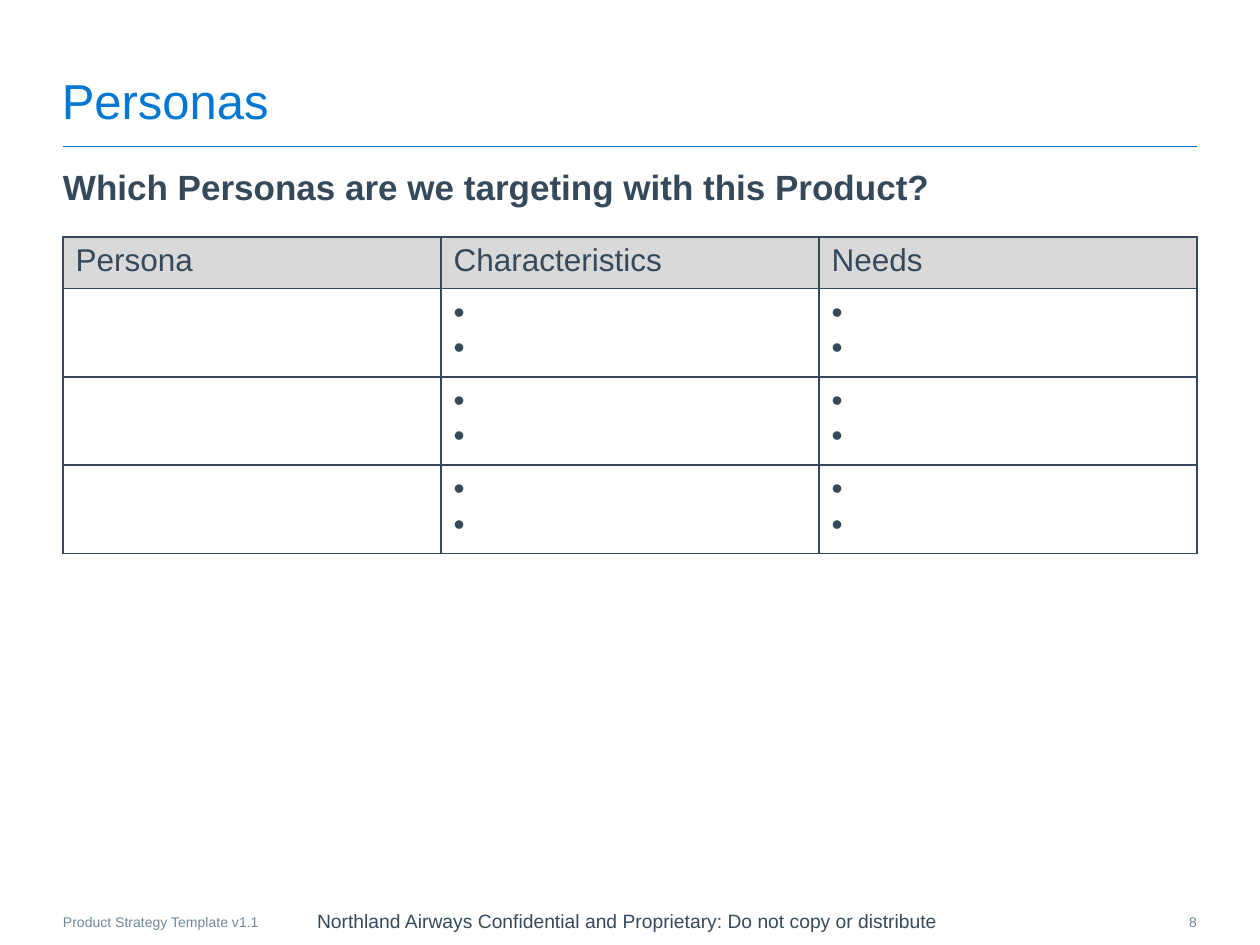
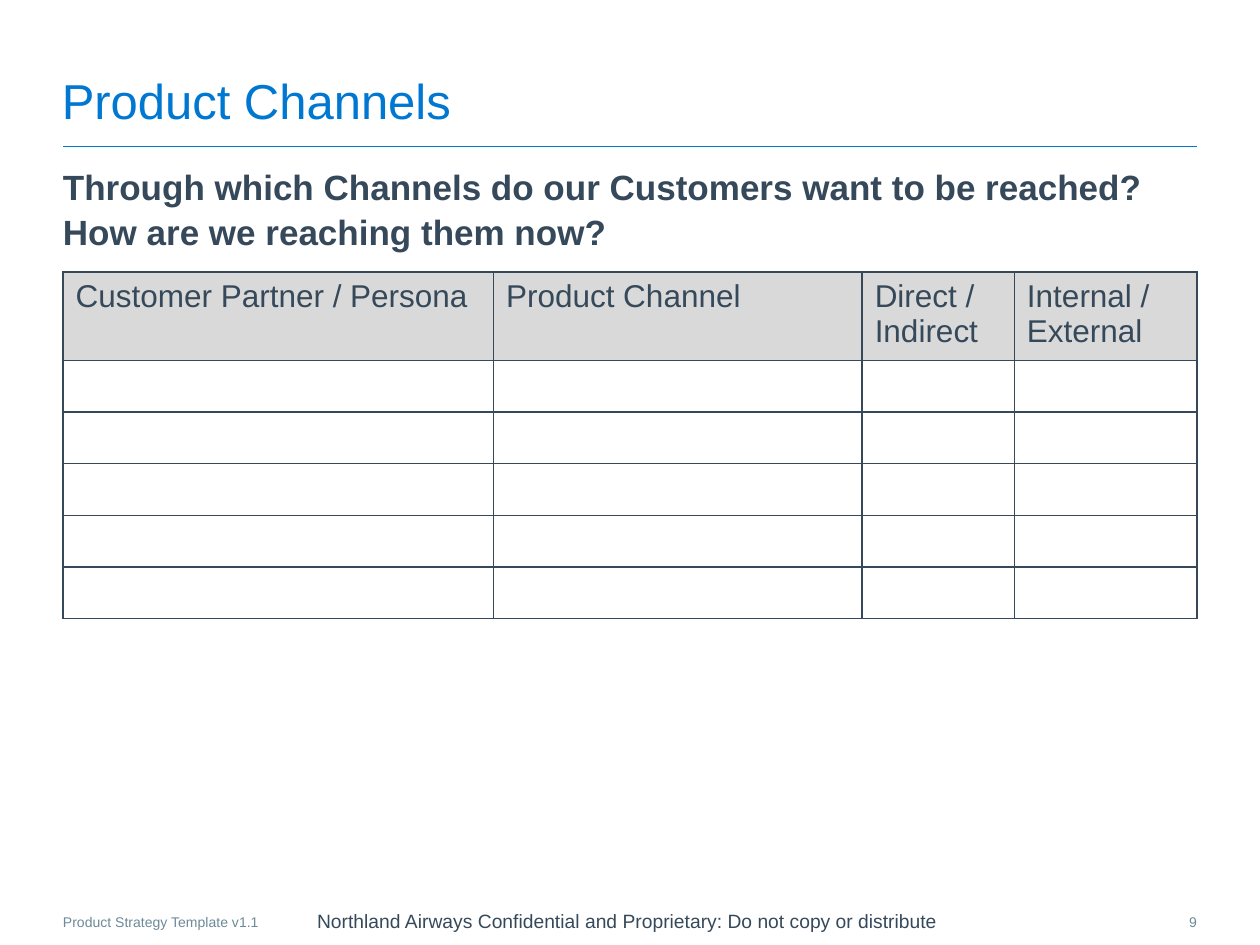
from pptx import Presentation
from pptx.dml.color import RGBColor
from pptx.enum.shapes import MSO_CONNECTOR
from pptx.enum.text import MSO_ANCHOR, PP_ALIGN
from pptx.util import Emu, Inches, Pt
from pptx.oxml.ns import qn
from lxml.etree import SubElement

# Content
FOOTER = "Product Strategy Template v1.1"
NOTICE = "Northland Airways Confidential and Proprietary: Do not copy or distribute"
BULLETS = 2
PAGES = [
    {
        "title": "Personas",
        "number": 8,
        "question": "Which Personas are we targeting with this Product?",
        "question_height": 5.42,
        "headers": ["Persona", "Characteristics", "Needs"],
        "widths": [3, 3, 3],
        "table_top": 1.88,
        "header_lines": 1,
        "body_rows": 3,
        "body_lines": BULLETS,
        "bulleted": {1, 2},
    },
    {
        "title": "Product Channels",
        "number": 9,
        "question": "Through which Channels do our Customers want to be reached? "
                    "How are we reaching them now?",
        "question_height": 5.81,
        "headers": ["Customer Partner / Persona", "Product Channel",
                    "Direct / Indirect", "Internal / External"],
        "widths": [3.42, 2.93, 1.21, 1.45],
        "table_top": 2.16,
        "header_lines": 2,
        "body_rows": 5,
        "body_lines": 1,
        "bulleted": set(),
    },
]

# Shared look
FONT = "Arial"
BLUE, INK, MUTED, GREY = "0078D2", "36495A", "6E8999", "D9D9D9"
WIDTH, HEIGHT, MARGIN = 10, 7.5, 0.5
CONTENT = WIDTH - 2 * MARGIN
ROW_HEIGHTS = {1: 0.41, 2: 0.66}  # by lines of text in the row


def color(value):
    return RGBColor.from_string(value)


def style(para, size, ink, bold=False, align=PP_ALIGN.LEFT):
    para.alignment = align
    para.font.name = FONT
    para.font.size = Pt(size)
    para.font.bold = bold
    para.font.color.rgb = color(ink)


def add_text(page, text, area, size, ink, bold=False, align=PP_ALIGN.LEFT,
             anchor=MSO_ANCHOR.TOP, wrap=True):
    box = page.shapes.add_textbox(*(Inches(length) for length in area))
    frame = box.text_frame
    frame.word_wrap = wrap
    frame.vertical_anchor = anchor
    frame.margin_left = frame.margin_right = 0
    frame.margin_top = frame.margin_bottom = 0
    para = frame.paragraphs[0]
    para.text = text
    style(para, size, ink, bold, align)
    return para


def add_frame(page, title, number):
    """Title, rule and footers that every page carries."""
    rule = page.shapes.add_connector(
        MSO_CONNECTOR.STRAIGHT, Inches(MARGIN), Inches(1.16),
        Inches(WIDTH - MARGIN), Inches(1.16))
    rule.line.color.rgb = color(BLUE)
    rule.line.width = Pt(0.5)
    SubElement(rule._element.spPr, qn("a:effectLst"))
    add_text(page, NOTICE, (2.01, 7.18, 5.94, 0.26), 11, INK,
             align=PP_ALIGN.CENTER, anchor=MSO_ANCHOR.MIDDLE, wrap=False)
    add_text(page, title, (0.49, 0.42, 9.01, 0.61), 28, BLUE,
             anchor=MSO_ANCHOR.BOTTOM)
    add_text(page, FOOTER, (MARGIN, 7.25, 1.94, 0.14), 8, MUTED)
    add_text(page, str(number), (9.15, 7.25, 0.35, 0.15), 8, MUTED,
             align=PP_ALIGN.RIGHT)


def add_borders(cell):
    properties = cell._tc.get_or_add_tcPr()
    for position, side in enumerate(("lnL", "lnR", "lnT", "lnB")):
        line = SubElement(properties, qn(f"a:{side}"), w=str(Pt(1)))
        fill = SubElement(line, qn("a:solidFill"))
        SubElement(fill, qn("a:srgbClr"), val=INK)
        properties.insert(position, line)


def add_bullet(para):
    # A space keeps the bullet of an unfilled item visible
    para.add_run().text = " "
    properties = para._p.get_or_add_pPr()
    indent = Inches(0.2)
    properties.set("marL", str(indent))
    properties.set("indent", str(-indent))
    bullet_font = SubElement(properties, qn("a:buFont"), typeface=FONT)
    bullet = SubElement(properties, qn("a:buChar"), char="•")
    properties.insert(0, bullet_font)
    properties.insert(1, bullet)


def fill_cell(cell, header, bulleted):
    frame = cell.text_frame
    if header:
        frame.text = header
        cell.fill.solid()
        cell.fill.fore_color.rgb = color(GREY)
    else:
        cell.fill.background()
    if bulleted:
        for _ in range(BULLETS - 1):
            frame.add_paragraph()
    for para in frame.paragraphs:
        if bulleted:
            add_bullet(para)
        style(para, 18, INK)
    add_borders(cell)


def add_grid(page, content):
    headers = content["headers"]
    lines = [content["header_lines"]] + [content["body_lines"]] * content["body_rows"]
    heights = [ROW_HEIGHTS[count] for count in lines]
    table = page.shapes.add_table(
        len(heights), len(headers), Inches(MARGIN), Inches(content["table_top"]),
        Inches(CONTENT), Inches(sum(heights))).table
    table.first_row = table.horz_banding = False
    share = Inches(CONTENT) / sum(content["widths"])
    for column, width in zip(table.columns, content["widths"]):
        column.width = Emu(round(width * share))
    for index, height in enumerate(heights):
        table.rows[index].height = Inches(height)
        for place, header in enumerate(headers):
            is_header = index == 0
            fill_cell(table.cell(index, place), header if is_header else "",
                      not is_header and place in content["bulleted"])


def main():
    deck = Presentation()
    deck.slide_width, deck.slide_height = Inches(WIDTH), Inches(HEIGHT)
    for content in PAGES:
        page = deck.slides.add_slide(deck.slide_layouts[6])
        add_frame(page, content["title"], content["number"])
        question = add_text(page, content["question"],
                            (MARGIN, 1.3, CONTENT, content["question_height"]),
                            20, INK, bold=True)
        question.line_spacing = 1.05
        add_grid(page, content)
    deck.save("out.pptx")


if __name__ == "__main__":
    main()
